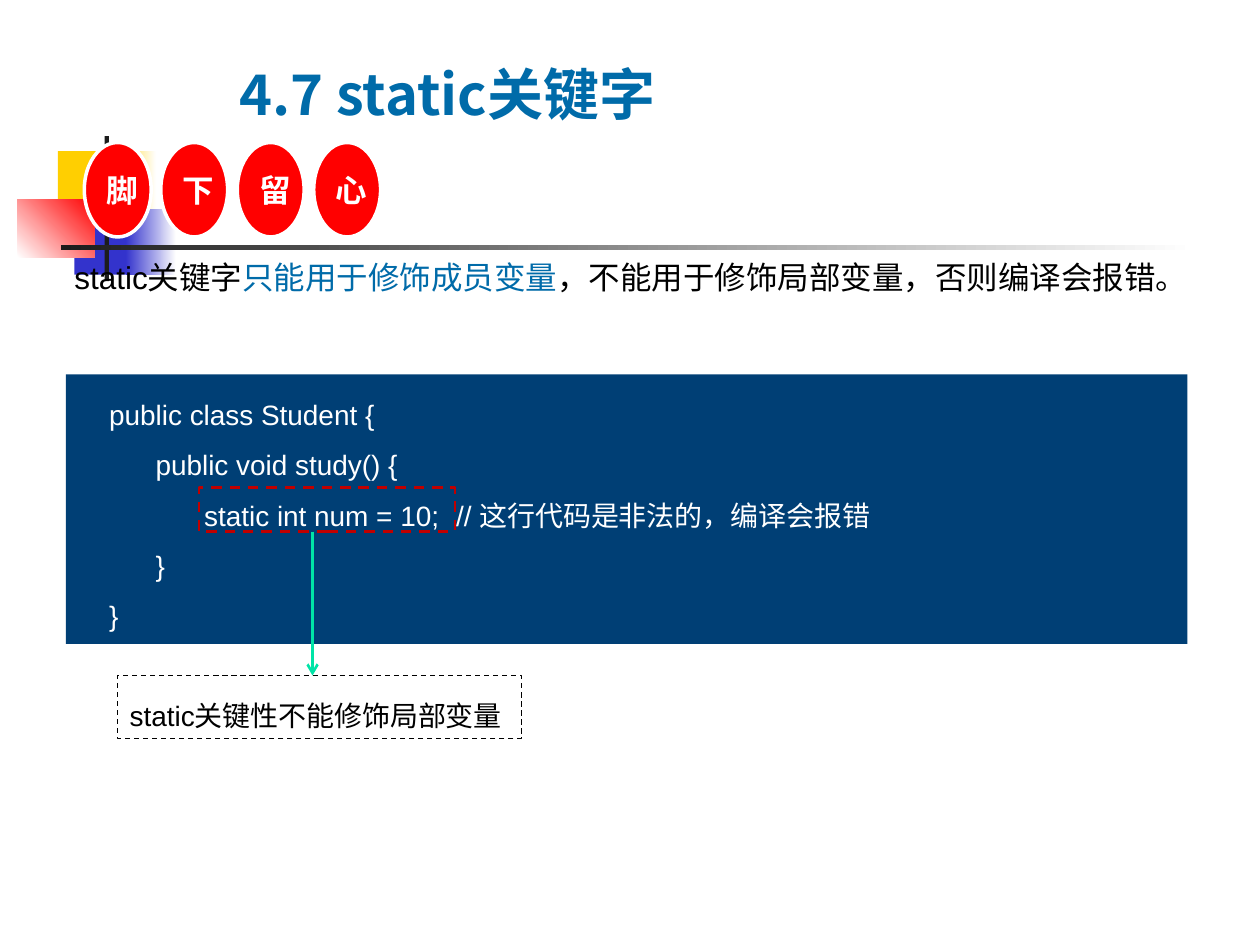
import pptx
import pptx.util
import pptx.dml.color
import pptx.enum.dml
import pptx.enum.shapes
import pptx.enum.text
import pptx.oxml.ns
from lxml import etree

Pt = pptx.util.Pt
RGB = pptx.dml.color.RGBColor
SHAPE = pptx.enum.shapes.MSO_SHAPE
ANCHOR = pptx.enum.text.MSO_ANCHOR
ALIGN = pptx.enum.text.PP_ALIGN
DASH = pptx.enum.dml.MSO_LINE.DASH
FIT = pptx.enum.text.MSO_AUTO_SIZE
qn = pptx.oxml.ns.qn

WHITE, BLACK = RGB(255, 255, 255), RGB(0, 0, 0)
YELLOW = RGB(0xFF, 0xCF, 0x01)
INDIGO = RGB(0x33, 0x33, 0xCC)
RED = RGB(0xFF, 0, 0)
DARK_RED = RGB(0xC0, 0, 0)
CHARCOAL = RGB(0x1C, 0x1C, 0x1C)
NAVY = RGB(0, 0x3F, 0x75)
BLUE = RGB(0, 0x6B, 0xA9)
MINT = RGB(0, 0xE4, 0xA7)
CJK = "Noto Sans CJK SC"

prs = pptx.Presentation()
prs.slide_width, prs.slide_height = Pt(720), Pt(540)
slide = prs.slides.add_slide(prs.slide_layouts[5])


def add_box(kind, box, fill=None, line=None, width=0.75, dash=None):
    s = slide.shapes.add_shape(kind, *[Pt(v) for v in box])
    s.shadow.inherit = False
    if fill is None:
        s.fill.background()
    else:
        s.fill.solid()
        s.fill.fore_color.rgb = fill
    if line is None:
        s.line.fill.background()
    else:
        s.line.color.rgb = line
        s.line.width = Pt(width)
        if dash:
            s.line.dash_style = dash
    s.text_frame.vertical_anchor = ANCHOR.TOP
    return s


def add_run(p, text, size, color, font="Arial", bold=False):
    r = p.add_run()
    r.text = text
    r.font.size, r.font.bold, r.font.name = Pt(size), bold, font
    r.font.color.rgb = color
    etree.SubElement(r._r.get_or_add_rPr(), qn("a:ea")).set("typeface", CJK)


# Title
s = slide.shapes.title
s.left, s.top, s.width, s.height = Pt(129.6), Pt(31), Pt(389.5), Pt(44)
tf = s.text_frame
tf.vertical_anchor = ANCHOR.MIDDLE
tf.auto_size = FIT.NONE
p = tf.paragraphs[0]
p.alignment = ALIGN.LEFT
add_run(p, "4.7 static关键字", 32, BLUE, CJK, True)

# Decoration: squares and rules; a pair of colours makes a gradient
decoration = [
    ((33.1, 86.4, 34.6, 37.4), YELLOW, None, 0),
    ((63.4, 86.4, 25.9, 37.4), YELLOW, WHITE, 0),
    ((42.5, 119.5, 33.1, 37.4), INDIGO, None, 0),
    ((72, 119.5, 28.8, 37.4), INDIGO, WHITE, 0),
    ((10, 113.8, 43.9, 33.1), WHITE, RED, 45),
    ((59.8, 77.8, 2.4, 82.8), CHARCOAL, None, 0),
    ((34.8, 140.2, 648, 2.4), CHARCOAL, WHITE, 0),
]
for box, start, end, angle in decoration:
    s = add_box(SHAPE.RECTANGLE, box, start)
    if end is not None:
        s.fill.gradient()
        s.fill.gradient_angle = angle
        for stop, color in zip(s.fill.gradient_stops, (start, end)):
            stop.color.rgb = color

# Code panel with one-inch tab stops
code = [
    "    public class Student {",
    "          public void study() {",
    "\tstatic int num = 10;\t// 这行代码是非法的，编译会报错",
    "          }",
    "    }",
]
s = add_box(SHAPE.RECTANGLE, (37.6, 214, 641, 154), NAVY)
tf = s.text_frame
for i, text in enumerate(code):
    p = tf.paragraphs[0] if i == 0 else tf.add_paragraph()
    p.alignment = ALIGN.LEFT
    p.line_spacing = 1.5
    tabs = etree.SubElement(p._p.get_or_add_pPr(), qn("a:tabLst"))
    for n in range(1, 8):
        etree.SubElement(tabs, qn("a:tab"), pos=str(Pt(72 * n)), algn="l")
    add_run(p, text, 16, WHITE)

# Rule about static
s = slide.shapes.add_textbox(Pt(35.4), Pt(122.4), Pt(646.6), Pt(93.6))
tf = s.text_frame
tf.word_wrap = True
p = tf.paragraphs[0]
p.line_spacing = 2.0
add_run(p, "static关键字", 18, BLACK)
add_run(p, "只能用于修饰成员变量", 18, BLUE)
add_run(p, "，不能用于修饰局部变量，否则编译会报错。", 18, BLACK)

# Frame round the illegal line, and the arrow to its explanation
add_box(SHAPE.RECTANGLE, (113.8, 278.6, 146.2, 25.2), None, DARK_RED, 1.5, DASH.DASH)
s = slide.shapes.add_connector(
    pptx.enum.shapes.MSO_CONNECTOR.STRAIGHT, Pt(178.6), Pt(303.8), Pt(178.6), Pt(386))
s.line.color.rgb = MINT
s.line.width = Pt(1.5)
etree.SubElement(s.line._get_or_add_ln(), qn("a:tailEnd"), type="arrow")
etree.SubElement(s._element.spPr, qn("a:effectLst"))

s = add_box(SHAPE.RECTANGLE, (67, 386, 231, 36), None, BLACK, 0.75, DASH.DASH)
tf = s.text_frame
tf.word_wrap = False
tf.auto_size = FIT.SHAPE_TO_FIT_TEXT
p = tf.paragraphs[0]
p.alignment = ALIGN.LEFT
p.line_spacing = 1.5
add_run(p, "static关键性不能修饰局部变量", 16, BLACK)

# Warning badges
for i, char in enumerate("脚下留心"):
    s = add_box(SHAPE.OVAL, (48.2 + 43.7 * i, 81.4, 38.2, 54), RED, WHITE, 2)
    tf = s.text_frame
    tf.vertical_anchor = ANCHOR.MIDDLE
    p = tf.paragraphs[0]
    p.alignment = ALIGN.CENTER
    add_run(p, char, 18, WHITE, CJK, True)

prs.save("out.pptx")
